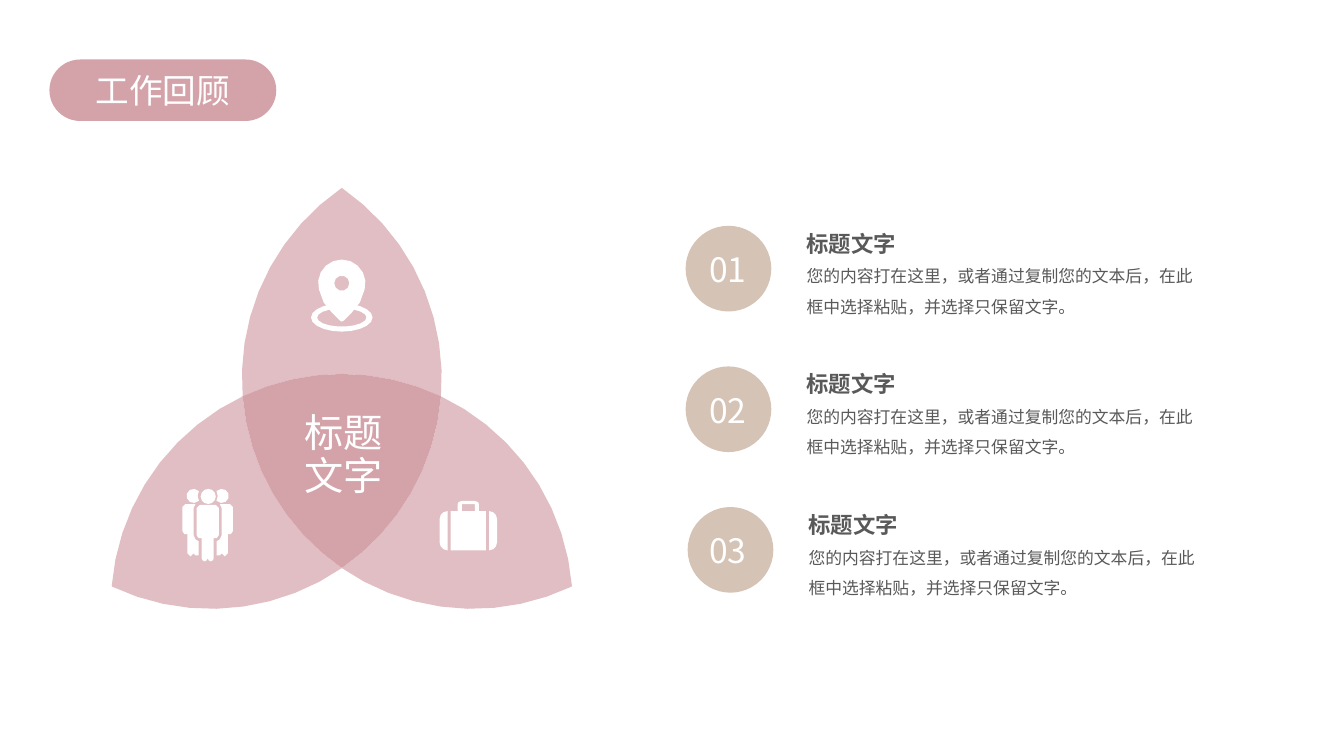
from math import acos, ceil, cos, degrees, radians, sin

from pptx import Presentation
from pptx.dml.color import RGBColor
from pptx.enum.shapes import MSO_SHAPE as Shape
from pptx.enum.text import MSO_ANCHOR as Anchor, PP_ALIGN as Align
from pptx.oxml.ns import qn
from pptx.util import Emu, Pt

PX = 9144  # EMU in one px, 100 px to the inch
FONT = "Noto Sans CJK SC"
ROSE, SAND, GREY, WHITE = "D4A3AA", "D5C3B5", "595959", "FFFFFF"

# Three equal circles, their centres spread evenly around the middle
MID_X, MID_Y, SPREAD, RADIUS = 339, 450, 150, 229
HALF_CORE = 25.3  # half the angle of each side of the core
FLATNESS = 0.4  # how far, in px, a straight piece may stray from its arc

BODY = "您的内容打在这里，或者通过复制您的文本后，在此框中选择粘贴，并选择只保留文字。"


def px(n):
    return Emu(round(n * PX))


def rgb(code):
    return RGBColor.from_string(code)


def arc(cx, cy, rx, start, end, ry=None):
    """Points along an arc, in degrees clockwise from the right."""
    steps = ceil(abs(end - start) / degrees(2 * acos(1 - FLATNESS / rx)))
    angles = [radians(start + (end - start) * i / steps) for i in range(steps + 1)]
    return [(cx + rx * cos(a), cy + (ry or rx) * sin(a)) for a in angles]


def mirror(points, axis):
    return [(2 * axis - x, y) for x, y in points]


def paint(sp, color, alpha=None):
    sp.shadow.inherit = False
    sp.fill.solid()
    sp.fill.fore_color.rgb = rgb(color)
    sp.line.fill.background()
    if alpha:
        clr = sp._element.spPr.find(qn("a:solidFill"))[0]
        clr.append(clr.makeelement(qn("a:alpha"), {"val": str(alpha * 1000)}))


def preset(s, kind, x, y, w, h, color):
    sp = s.shapes.add_shape(kind, px(x), px(y), px(w), px(h))
    paint(sp, color)
    return sp


def outline(s, *contours, color=WHITE, alpha=None):
    """One filled freeform; contours after the first are holes."""
    builder = None
    for contour in contours:
        first, *rest = [(px(x), px(y)) for x, y in contour]
        if builder is None:
            builder = s.shapes.build_freeform(*first, scale=1.0)
        else:
            builder.move_to(*first)
        builder.add_line_segments(rest, close=True)
    paint(builder.convert_to_shape(), color, alpha)


def text(s, x, y, w, h, lines, size, color, bold=False, inset=0, anchor=Anchor.TOP, **para):
    tf = s.shapes.add_textbox(px(x), px(y), px(w), px(h)).text_frame
    frame = {"word_wrap": True, "vertical_anchor": anchor,
             "margin_left": px(inset), "margin_right": px(inset),
             "margin_top": px(inset / 2), "margin_bottom": px(inset / 2)}
    for name, value in frame.items():
        setattr(tf, name, value)
    for i, line in enumerate(lines):
        p = tf.add_paragraph() if i else tf.paragraphs[0]
        for name, value in para.items():
            setattr(p, name, value)
        r = p.add_run()
        r.text = line
        for name, value in {"name": FONT, "size": Pt(size), "bold": bold}.items():
            setattr(r.font, name, value)
        r.font.color.rgb = rgb(color)
        rPr = r.font._element
        rPr.append(rPr.makeelement(qn("a:ea"), {"typeface": FONT}))


def circle_arc(k, start, end):
    """Arc on circle k, with angles turned along with the circle."""
    turn = 120 * k
    a = radians(90 + turn)
    cx, cy = MID_X + SPREAD * cos(a), MID_Y + SPREAD * sin(a)
    return arc(cx, cy, RADIUS, start + turn, end + turn)


def trefoil(s):
    left, right = -90 - HALF_CORE, -90 + HALF_CORE
    for k in range(3):
        petal = (circle_arc(k + 1, left - 60, left)
                 + circle_arc(k, right, left)
                 + circle_arc(k + 2, right, right + 60))
        outline(s, petal, color=ROSE, alpha=70)
    core = [point for k in range(3) for point in circle_arc(k, left, right)]
    outline(s, core, color=ROSE)


def people_icon(s):
    axis = 206
    head = arc(192, 492, 7, 45, 315) + arc(axis, 492, 10, 210, 150)
    body = [(184, 500), (194, 500), (192, 504), (192, 531), (194, 535), (197, 537),
            (197, 551), (194, 551), (192, 549), (189, 552), (186, 549), (186, 530),
            (183, 530), (181, 527), (181, 503)]
    for part in (head, body):
        outline(s, part)
        outline(s, mirror(part, axis))
    preset(s, Shape.OVAL, 199, 485, 15, 15, WHITE)
    half = [(axis, 501), (214, 501), (217, 504), (217, 531), (215, 534), (212, 534),
            (212, 554), (211, 556), (209, 557), (207, 556), (axis, 554)]
    outline(s, half + mirror(half[::-1], axis))


def pin_icon(s):
    outline(s, arc(339, 315, 30.5, 0, 360, ry=14), arc(339, 315, 24.5, 0, 360, ry=9))
    side = [(357, 300), (349, 310), (341, 318), (339, 319)]
    drop = arc(339, 281, 23.5, 165, 375) + side + mirror(side[::-1], 339)
    outline(s, drop, arc(339, 281, 7.5, 0, 360))


def case_icon(s):
    axis = 464.5
    end = arc(444, 538, 8, 90, 180) + arc(444, 515, 8, 180, 270)
    outline(s, end)
    outline(s, mirror(end, axis))
    half = [(447, 546), (447, 507), (454, 507), (454, 500), (455, 498), (458, 497)]
    window = [(458, 507), (458, 500)]
    outline(s, half + mirror(half[::-1], axis), window + mirror(window[::-1], axis))


def item(s, i, x):
    y = 224 + 139.5 * i
    preset(s, Shape.OVAL, x, y, 85, 85, SAND)
    text(s, x + 120, y + 4, 98, 27, ["标题文字"], 16, GREY, bold=True, space_before=Pt(3.2))
    text(s, x + 120, y + 30, 387, 61, [BODY], 12, GREY, line_spacing=1.5)
    text(s, 696, y + 21, 52, 44, [f"{i + 1:02}"], 24, WHITE,
         anchor=Anchor.MIDDLE, alignment=Align.CENTER)


def main():
    prs = Presentation()
    prs.slide_width, prs.slide_height = px(1333), px(750)
    s = prs.slides.add_slide(prs.slide_layouts[6])

    # Diagram with its icons and label
    trefoil(s)
    people_icon(s)
    pin_icon(s)
    case_icon(s)
    text(s, 286, 417, 109, 80, ["标题", "文字"], 28, WHITE, alignment=Align.CENTER,
         line_spacing=Pt(25), space_before=Pt(5.6))

    # Numbered items
    for i, x in enumerate((680, 680, 682)):
        item(s, i, x)

    # Slide title
    pill = preset(s, Shape.ROUNDED_RECTANGLE, 49, 59, 225, 61, ROSE)
    pill.adjustments[0] = 0.5
    text(s, 73, 64, 177, 50, ["工作回顾"], 24, WHITE, inset=10, alignment=Align.CENTER)

    prs.save("out.pptx")


if __name__ == "__main__":
    main()
